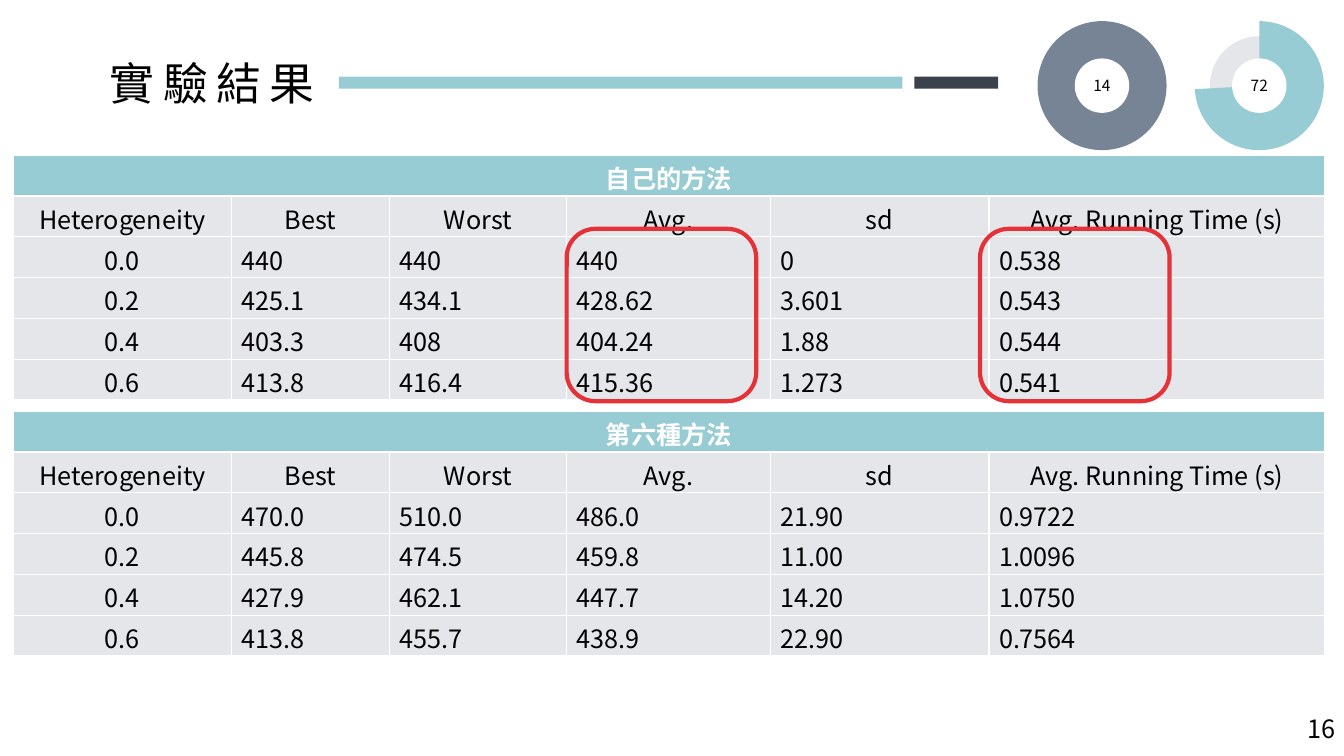
from dataclasses import dataclass

from lxml import etree
from pptx import Presentation
from pptx.dml.color import RGBColor
from pptx.enum.shapes import MSO_SHAPE
from pptx.enum.text import MSO_ANCHOR, PP_ALIGN
from pptx.oxml.ns import qn
from pptx.util import Inches, Pt

RECT, OVAL = MSO_SHAPE.RECTANGLE, MSO_SHAPE.OVAL
PIE, ROUND = MSO_SHAPE.PIE, MSO_SHAPE.ROUNDED_RECTANGLE
LEFT, CENTER = PP_ALIGN.LEFT, PP_ALIGN.CENTER
MIDDLE = MSO_ANCHOR.MIDDLE

BLACK = RGBColor(0x00, 0x00, 0x00)
WHITE = RGBColor(0xFF, 0xFF, 0xFF)
TEAL = RGBColor(0x97, 0xCC, 0xD4)
DARK = RGBColor(0x3B, 0x42, 0x4B)
SLATE = RGBColor(0x77, 0x84, 0x95)
PALE = RGBColor(0xE4, 0xE6, 0xEA)
RED = RGBColor(0xE5, 0x32, 0x38)
FONT = "Noto Sans CJK SC"

WIDTHS = (2.17, 1.56, 1.76, 2.02, 2.17, 3.33)
ROW = 0.405
HEADS = ("Heterogeneity", "Best", "Worst", "Avg.", "sd", "Avg. Running Time (s)")


@dataclass
class Bar:
    left: float
    width: float
    color: RGBColor


@dataclass
class Dial:
    left: float
    label: str
    kind: MSO_SHAPE
    color: RGBColor
    arc: tuple[float, ...] = ()


@dataclass
class Result:
    top: float
    title: str
    rows: tuple[tuple[str, ...], ...]


BARS = (Bar(3.36, 5.59, TEAL), Bar(9.07, 0.83, DARK))
DIALS = (
    Dial(11.85, "72", PIE, TEAL, (162, 106.1)),
    Dial(10.29, "14", OVAL, SLATE),
)
OURS = Result(1.54, "自己的方法", (
    ("0.0", "440", "440", "440", "0", "0.538"),
    ("0.2", "425.1", "434.1", "428.62", "3.601", "0.543"),
    ("0.4", "403.3", "408", "404.24", "1.88", "0.544"),
    ("0.6", "413.8", "416.4", "415.36", "1.273", "0.541"),
))
SIXTH = Result(4.08, "第六種方法", (
    ("0.0", "470.0", "510.0", "486.0", "21.90", "0.9722"),
    ("0.2", "445.8", "474.5", "459.8", "11.00", "1.0096"),
    ("0.4", "427.9", "462.1", "447.7", "14.20", "1.0750"),
    ("0.6", "413.8", "455.7", "438.9", "22.90", "0.7564"),
))
MARKS = (5.62, 9.72)


def write(frame, text: str, *, size: float = 18, color: RGBColor = BLACK,
          bold: bool = False, align: PP_ALIGN = LEFT, space: float = 0) -> None:
    para = frame.paragraphs[0]
    para.alignment = align
    run = para.add_run()
    run.text = text
    font = run.font
    font.size, font.bold, font.name = Pt(size), bold, FONT
    font.color.rgb = color
    props = run._r.get_or_add_rPr()
    etree.SubElement(props, qn("a:ea"), typeface=FONT)
    if space:
        props.set("spc", str(round(space * 100)))


def draw(shapes, kind: MSO_SHAPE, left: float, top: float, width: float,
         height: float, fill: RGBColor | None = None, line: RGBColor | None = None):
    shape = shapes.add_shape(kind, Inches(left), Inches(top), Inches(width), Inches(height))
    shape.shadow.inherit = False
    if fill is None:
        shape.fill.background()
    else:
        shape.fill.solid()
        shape.fill.fore_color.rgb = fill
    if line is None:
        shape.line.fill.background()
    else:
        shape.line.color.rgb = line
        shape.line.width = Pt(3)
    return shape


def set_frame(frame) -> None:
    frame.word_wrap = False
    frame.vertical_anchor = MIDDLE


def add_dial(shapes, dial: Dial) -> None:
    group = shapes.add_group_shape().shapes
    draw(group, OVAL, dial.left + 0.15, 0.36, 0.98, 0.98, PALE)
    ring = draw(group, dial.kind, dial.left, 0.21, 1.28, 1.28, dial.color)
    for index, angle in enumerate(dial.arc):
        ring.adjustments[index] = angle
    hub = draw(group, OVAL, dial.left + 0.37, 0.58, 0.54, 0.54, WHITE)
    set_frame(hub.text_frame)
    write(hub.text_frame, dial.label, size=11, align=CENTER)


def add_result(shapes, result: Result) -> None:
    rows = ((result.title,), HEADS) + result.rows
    table = shapes.add_table(
        len(rows), len(WIDTHS), Inches(0.13), Inches(result.top),
        Inches(sum(WIDTHS)), Inches(ROW * len(rows))).table
    for column, width in zip(table.columns, WIDTHS):
        column.width = Inches(width)
    for cell in table.iter_cells():
        cell.margin_top, cell.margin_bottom = Inches(0.04), 0
        cell.fill.solid()
        cell.fill.fore_color.rgb = PALE
    title = table.cell(0, 0)
    title.merge(table.cell(0, len(WIDTHS) - 1))
    title.fill.fore_color.rgb = TEAL
    for r, row in enumerate(rows):
        for c, text in enumerate(row):
            write(table.cell(r, c).text_frame, text, bold=r == 0,
                  color=WHITE if r == 0 else BLACK,
                  align=CENTER if r < 2 or c == 0 else LEFT)


def main() -> None:
    deck = Presentation()
    deck.slide_width, deck.slide_height = Inches(13.33), Inches(7.5)
    slide = deck.slides.add_slide(deck.slide_layouts[5])
    shapes = slide.shapes

    title = shapes.title
    title.left, title.top = Inches(0.99), Inches(0.5)
    title.width, title.height = Inches(2.33), Inches(0.64)
    set_frame(title.text_frame)
    write(title.text_frame, "實驗結果", size=32, space=6)

    for bar in BARS:
        draw(shapes, RECT, bar.left, 0.76, bar.width, 0.12, bar.color)
    add_result(shapes, SIXTH)
    for dial in DIALS:
        add_dial(shapes, dial)

    page = shapes.add_textbox(Inches(12.87), Inches(7.03), Inches(0.5), Inches(0.4))
    set_frame(page.text_frame)
    write(page.text_frame, "16")

    add_result(shapes, OURS)
    for left in MARKS:
        draw(shapes, ROUND, left, 2.27, 1.88, 1.71, line=RED)
    deck.save("out.pptx")


if __name__ == "__main__":
    main()
